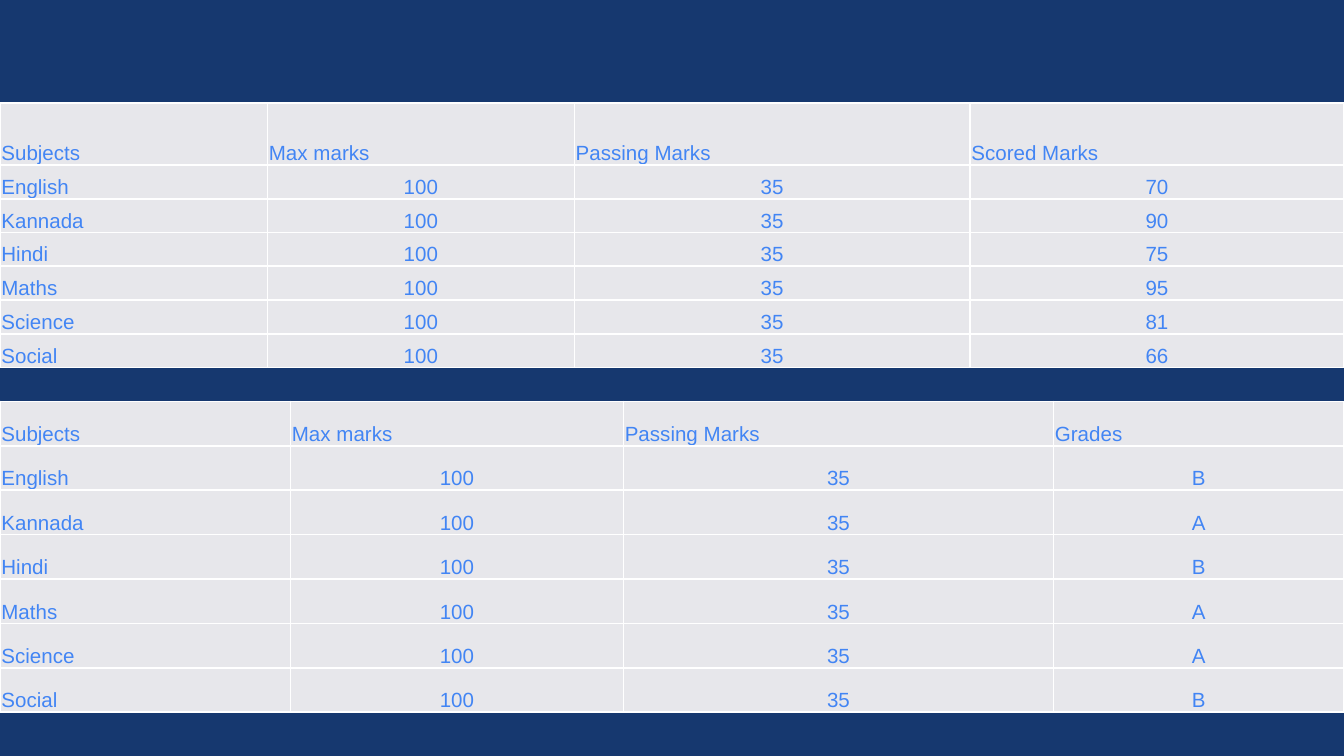
from lxml.etree import SubElement
from pptx import Presentation
from pptx.dml.color import RGBColor
from pptx.enum.text import MSO_ANCHOR, PP_ALIGN
from pptx.oxml import parse_xml
from pptx.oxml.ns import nsdecls
from pptx.util import Pt

NAVY = RGBColor(0x16, 0x38, 0x6F)
PALE_GREY = RGBColor(0xE7, 0xE7, 0xEB)
BLUE = RGBColor(0x42, 0x85, 0xF4)
WHITE = RGBColor(0xFF, 0xFF, 0xFF)

SUBJECTS = ["English", "Kannada", "Hindi", "Maths", "Science", "Social"]
SCORES = ["70", "90", "75", "95", "81", "66"]
GRADES = ["B", "A", "B", "A", "A", "B"]
MAX_MARKS, PASSING_MARKS = "100", "35"


def add_borders(cell):
    """Draw a 1 pt white line on all four sides; lines go before the fill."""
    properties = cell._tc.get_or_add_tcPr()
    for position, side in enumerate(("lnL", "lnR", "lnT", "lnB")):
        properties.insert(position, parse_xml(
            f'<a:{side} {nsdecls("a")} w="{Pt(1)}"><a:solidFill>'
            f'<a:srgbClr val="{WHITE}"/></a:solidFill></a:{side}>'))


def fill_cell(cell, text, align):
    cell.fill.solid()
    cell.fill.fore_color.rgb = PALE_GREY
    cell.vertical_anchor = MSO_ANCHOR.BOTTOM
    cell.margin_left = cell.margin_right = cell.margin_top = Pt(0.75)
    cell.margin_bottom = Pt(0)
    add_borders(cell)

    paragraph = cell.text_frame.paragraphs[0]
    paragraph.alignment = align
    run = paragraph.add_run()
    run.text = text
    run.font.name = "Arial"
    run.font.size = Pt(11)
    run.font.color.rgb = BLUE


def add_marks_table(slide, left, top, column_widths, header_height, row_height,
                    result_heading, results):
    """Place a table of subjects whose last column holds the results."""
    rows = [["Subjects", "Max marks", "Passing Marks", result_heading]]
    rows += [[subject, MAX_MARKS, PASSING_MARKS, result]
             for subject, result in zip(SUBJECTS, results)]
    height = header_height + row_height * len(SUBJECTS)
    marks = slide.shapes.add_table(
        len(rows), len(column_widths), Pt(left), Pt(top),
        Pt(sum(column_widths)), Pt(height)).table
    marks.first_row = marks.horz_banding = False

    for column, width in zip(marks.columns, column_widths):
        column.width = Pt(width)
    for r, texts in enumerate(rows):
        marks.rows[r].height = Pt(row_height if r else header_height)
        for c, text in enumerate(texts):
            # Headings and subjects sit left, values are centred
            align = PP_ALIGN.CENTER if r and c else PP_ALIGN.LEFT
            fill_cell(marks.cell(r, c), text, align)


def main():
    deck = Presentation()
    deck.slide_width, deck.slide_height = Pt(720), Pt(405)
    slide = deck.slides.add_slide(deck.slide_layouts[6])
    slide.background.fill.solid()
    slide.background.fill.fore_color.rgb = NAVY

    # Scored marks
    add_marks_table(slide, 0, 55.3, [143.3, 164.4, 212, 200.3], 33.1, 18.1,
                    "Scored Marks", SCORES)
    # Grades
    add_marks_table(slide, 0, 215.1, [155.6, 178.4, 230.4, 155.6], 23.8, 23.8,
                    "Grades", GRADES)

    deck.save("out.pptx")


if __name__ == "__main__":
    main()
